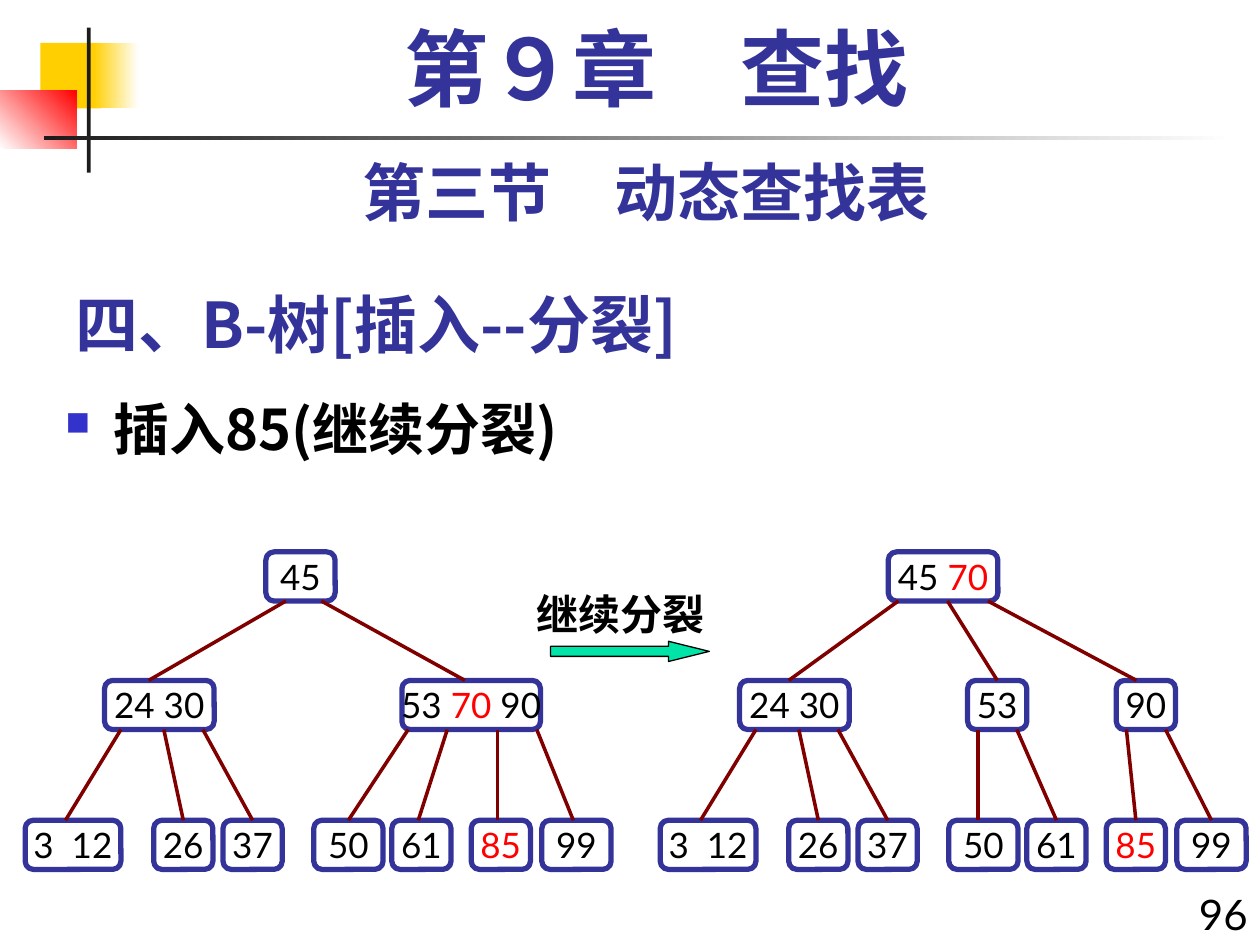
"""Build the slide on splitting B-tree nodes while inserting 85."""
from lxml.etree import SubElement
from pptx import Presentation
from pptx.dml.color import RGBColor
from pptx.enum.shapes import MSO_CONNECTOR, MSO_SHAPE
from pptx.enum.text import MSO_ANCHOR, MSO_AUTO_SIZE, PP_ALIGN
from pptx.oxml.ns import qn
from pptx.util import Inches, Pt

NAVY = RGBColor(0x33, 0x33, 0x99)
BULLET_BLUE = RGBColor(0x33, 0x33, 0xCC)
BLACK = RGBColor(0, 0, 0)
WHITE = RGBColor(0xFF, 0xFF, 0xFF)
RED = RGBColor(0xFF, 0, 0)
YELLOW = RGBColor(0xFF, 0xCF, 0x01)
CHARCOAL = RGBColor(0x1C, 0x1C, 0x1C)
GREEN = RGBColor(0, 0xE4, 0xA8)
MAROON = RGBColor(0x80, 0, 0)
CJK_FONT = "Noto Sans CJK SC"

deck = Presentation()
deck.slide_width, deck.slide_height = Inches(10), Inches(7.5)
page = deck.slides.add_slide(deck.slide_layouts[5])
GRID = deck.slide_width / 100


def cells(*counts):
    """Turn counts of grid cells into lengths."""
    return [round(count * GRID) for count in counts]


def style(span, size, color, name="Lato", bold=False):
    """Format a run, with one typeface for its Chinese characters."""
    span.font.size, span.font.name, span.font.bold = Pt(size), name, bold
    span.font.color.rgb = color
    SubElement(span.font._element, qn("a:ea")).set("typeface", CJK_FONT)


decorations = [
    ((3.2, 3.4, 4.8, 5.2), [YELLOW], 0),
    ((7.4, 3.4, 3.6, 5.2), [YELLOW, WHITE], 0),
    ((0, 7.2, 6.1, 4.6), [WHITE, RED], 45),
    ((6.9, 2.2, 0.3, 11.5), [CHARCOAL], 0),
    ((3.5, 10.8, 94.5, 0.3), [CHARCOAL, WHITE], 0),
]
for place, colors, angle in decorations:
    block = page.shapes.add_shape(MSO_SHAPE.RECTANGLE, *cells(*place))
    block.shadow.inherit = False
    block.line.fill.background()
    if len(colors) == 1:
        block.fill.solid()
        block.fill.fore_color.rgb = colors[0]
    else:
        block.fill.gradient()
        block.fill.gradient_angle = angle
        for stop, color in zip(block.fill.gradient_stops, colors):
            stop.color.rgb = color

title = page.shapes.title
title.left, title.top, title.width, title.height = cells(5, 21.7, 68.3, 7.5)
title.text_frame.text = "四、B-树[插入--分裂]"
title.text_frame.auto_size = MSO_AUTO_SIZE.NONE
title.text_frame.vertical_anchor = MSO_ANCHOR.BOTTOM
title.text_frame.paragraphs[0].alignment = PP_ALIGN.LEFT
style(title.text_frame.paragraphs[0].runs[0], 36, NAVY, CJK_FONT, True)

texts = [
    ("第９章　查找", (6.7, 1.7, 90.8, 8.3), PP_ALIGN.CENTER, 48, NAVY, "Times New Roman", True),
    ("第三节　动态查找表", (5, 11.7, 92.5, 7), PP_ALIGN.CENTER, 36, NAVY, "Lato", True),
    ("插入85(继续分裂)", (4.2, 30.8, 95.8, 7), PP_ALIGN.LEFT, 32, BLACK, CJK_FONT, True),
    ("继续分裂", (40.6, 46.2, 17.3, 5), PP_ALIGN.CENTER, 24, BLACK, "Lato", True),
    ("96", (93.3, 70, 6.7, 5), PP_ALIGN.RIGHT, 24, BLACK, "Lato", False),
]
boxes = {}
for wording, place, alignment, size, color, name, bold in texts:
    box = page.shapes.add_textbox(*cells(*place))
    box.text_frame.word_wrap = True
    box.text_frame.text = wording
    para = box.text_frame.paragraphs[0]
    para.alignment = alignment
    style(para.runs[0], size, color, name, bold)
    boxes[wording] = para
boxes["第９章　查找"].line_spacing = 0.9

properties = boxes["插入85(继续分裂)"]._p.get_or_add_pPr()
properties.set("marL", str(Inches(0.38)))
properties.set("indent", str(-Inches(0.38)))
bullet_color = SubElement(properties, qn("a:buClr"))
SubElement(bullet_color, qn("a:srgbClr")).set("val", str(BULLET_BLUE))
SubElement(properties, qn("a:buSzPct")).set("val", "60000")
SubElement(properties, qn("a:buChar")).set("char", "■")

arrow = page.shapes.add_shape(MSO_SHAPE.RIGHT_ARROW, *cells(43.7, 50.9, 12.6, 1.6))
arrow.adjustments[0], arrow.adjustments[1] = 0.5, 2.02
arrow.shadow.inherit = False
arrow.fill.solid()
arrow.fill.fore_color.rgb = GREEN
arrow.line.color.rgb = BLACK
arrow.line.width = Pt(0.75)

LEVELS = [43.8, 54, 65.1]
NODE_HEIGHT = 3.9
INSERTED = ("70", "85")
shared_nodes = [
    ("24 30", 1, 8.3, 8.7), ("3  12", 2, 2, 7.6), ("26", 2, 12.2, 4.7), ("37", 2, 17.7, 4.7),
    ("50", 2, 24.9, 5.5), ("61", 2, 31.1, 4.7), ("85", 2, 37.4, 4.7), ("99", 2, 43, 5.5),
]
shared_edges = [(1, 9.6, 5.2), (1, 13, 14.5), (1, 16.1, 20.1)]
trees = [
    (0,
     [("45", 0, 21.1, 5.5), ("53 |70| 90", 1, 31.9, 11)],
     [(0, 22.7, 11.8), (0, 25.5, 36.9), (1, 32.4, 27.6), (1, 35.5, 33.2),
      (1, 39.5, 39.5), (1, 42.6, 45.5)]),
    (50.4,
     [("45 |70", 0, 20.1, 8.7), ("53", 1, 26.4, 4.7), ("90", 1, 38.2, 4.7)],
     [(0, 20.9, 12.2), (0, 24.8, 28.7), (0, 28, 39.8), (1, 27.2, 27.2),
      (1, 30.3, 33.5), (1, 39, 39.8), (1, 42.1, 45.8)]),
]
for shift, nodes, edges in trees:
    tree = page.shapes.add_group_shape()
    tops = []
    for keys, level, left, width in nodes + shared_nodes:
        node = tree.shapes.add_shape(
            MSO_SHAPE.ROUNDED_RECTANGLE, *cells(left + shift, LEVELS[level], width, NODE_HEIGHT))
        node.shadow.inherit = False
        node.fill.background()
        node.line.color.rgb = NAVY
        node.line.width = Pt(3)
        node.text_frame.word_wrap = False
        node.text_frame.vertical_anchor = MSO_ANCHOR.MIDDLE
        para = node.text_frame.paragraphs[0]
        para.alignment = PP_ALIGN.CENTER
        for key in keys.split("|"):
            span = para.add_run()
            span.text = key
            style(span, 20, RED if key in INSERTED else BLACK)
        tops.append((node, level, left + width / 2))
    for level, start, end in edges + shared_edges:
        edge = tree.shapes.add_connector(
            MSO_CONNECTOR.STRAIGHT,
            *cells(start + shift, LEVELS[level] + NODE_HEIGHT, end + shift, LEVELS[level + 1]))
        edge.line.color.rgb = MAROON
        edge.line.width = Pt(2)
        SubElement(edge._element.spPr, qn("a:effectLst"))
        for node, node_level, middle in tops:
            if node_level == level + 1 and abs(middle - end) < 0.2:
                edge.end_connect(node, 0)

deck.save("out.pptx")
